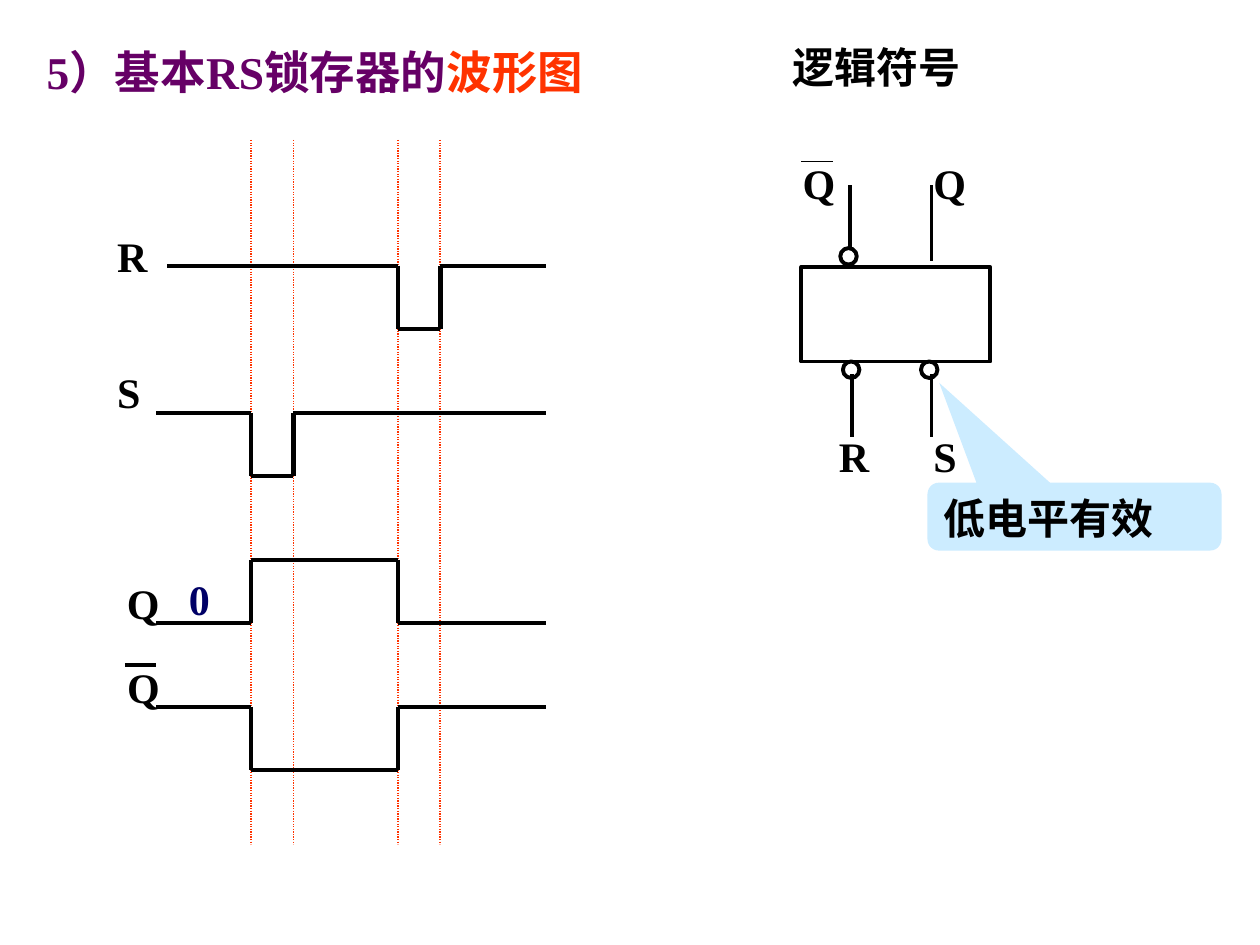
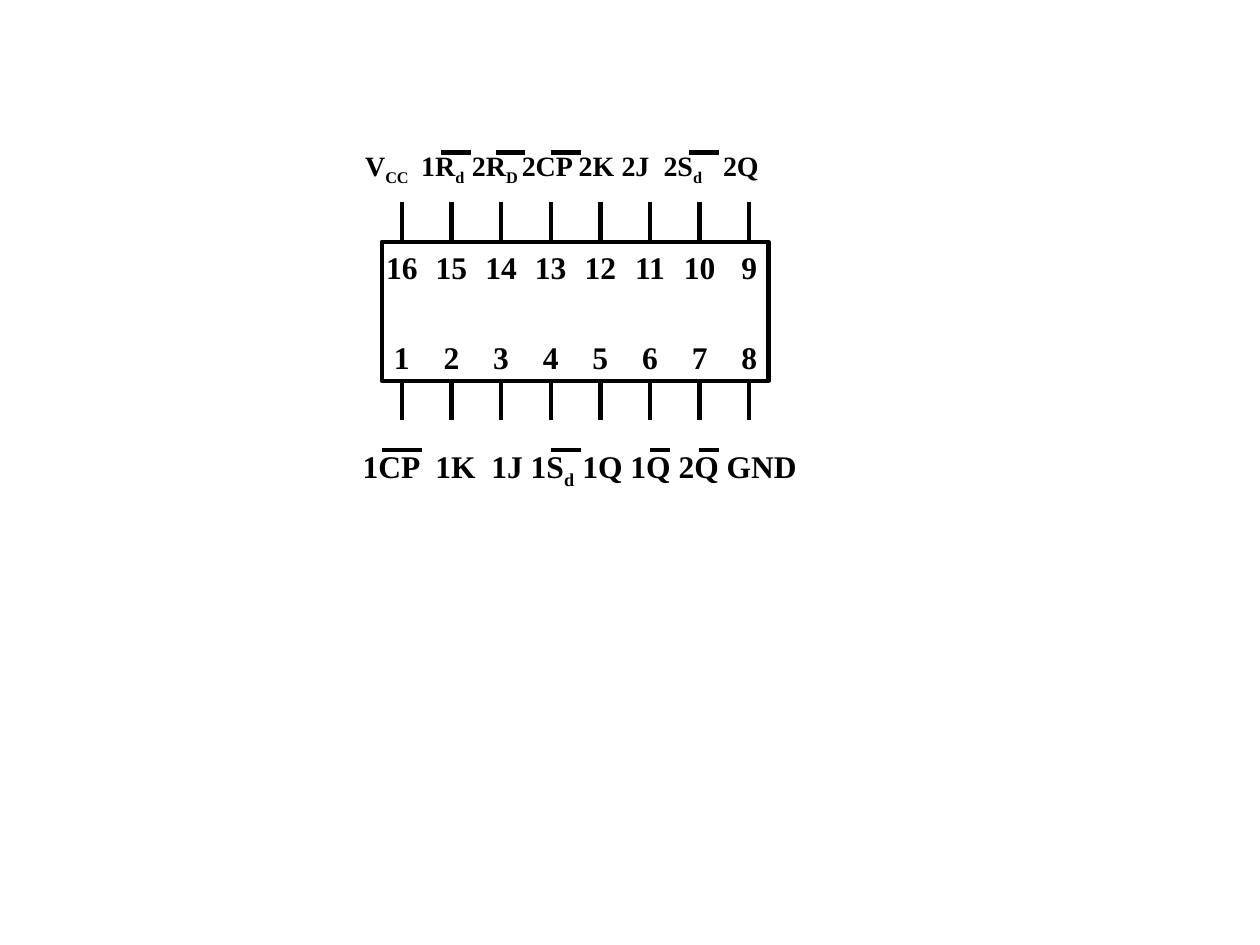
import itertools
from dataclasses import dataclass

import pptx
import pptx.dml.color
import pptx.enum.dml
import pptx.enum.shapes
import pptx.enum.text
import pptx.oxml.ns
import pptx.oxml.xmlchemy
import pptx.util
from lxml import etree

Pt = pptx.util.Pt
RGB = pptx.dml.color.RGBColor.from_string
ALIGN = pptx.enum.text.PP_ALIGN
ANCHOR = pptx.enum.text.MSO_ANCHOR
SHAPE = pptx.enum.shapes.MSO_SHAPE
qn = pptx.oxml.ns.qn


@dataclass(frozen=True)
class Theme:
    font: str = "Times New Roman"
    ink: str = "000000"
    title: str = "660066"
    accent: str = "FF3300"
    state: str = "000066"
    callout: str = "CCECFF"
    title_size: float = 26
    label_size: float = 24
    pin_size: float = 18
    small_pin_size: float = 16
    wave_line: float = 2.75
    chip_line: float = 2.5
    symbol_line: float = 2.25
    thin_line: float = 0.75


theme = Theme()


def add_line(page, start, end, width, color=theme.ink):
    line = page.shapes.add_connector(
        pptx.enum.shapes.MSO_CONNECTOR.STRAIGHT, *map(Pt, start + end))
    line.line.width = Pt(width)
    line.line.color.rgb = RGB(color)
    etree.SubElement(line._element.spPr, qn("a:effectLst"))
    return line


def write_spans(frame, spans, size, align=ALIGN.LEFT):
    """Fill the first paragraph with (text, colour, subscript) spans."""
    frame.word_wrap = True
    para = frame.paragraphs[0]
    para.alignment = align
    for text, color, subscript in spans:
        span = para.add_run()
        span.text = text
        span.font.name = theme.font
        span.font.size = Pt(size)
        span.font.bold = True
        span.font.color.rgb = RGB(color)
        if subscript:
            span.font._element.set("baseline", "-25000")
    return para


deck = pptx.Presentation()
deck.slide_width, deck.slide_height = Pt(720), Pt(540)
blank = deck.slide_layouts[6]

# Slide 1: waveforms of the latch and its logic symbol
page = deck.slides.add_slide(blank)
title = page.shapes.add_textbox(Pt(19.5), Pt(20), Pt(336), Pt(42)).text_frame
title.vertical_anchor = ANCHOR.MIDDLE
write_spans(title, [("5）基本RS锁存器的", theme.title, False),
                    ("波形图", theme.accent, False)], theme.title_size)

begin, finish = 89.3, 311.8
set_start, set_end, reset_start, reset_end = 143.4, 167.6, 227.4, 251.5
for edge in (set_start, set_end, reset_start, reset_end):
    guide = add_line(page, (edge, 80), (edge, 482.4), theme.thin_line, theme.accent)
    guide.line.dash_style = pptx.enum.dml.MSO_LINE.ROUND_DOT

# Each wave: start, first level (0 high, 1 low), times at which the level flips
waves = [
    (95.6, 0, (reset_start, reset_end)),
    (begin, 0, (set_start, set_end)),
    (begin, 1, (set_start, reset_start)),
    (begin, 0, (set_start, reset_start)),
]
first_wave, wave_pitch, swing = 152, 84, 36
for row, (start, level, flips) in enumerate(waves):
    high = first_wave + row * wave_pitch
    first, other = high + level * swing, high + (1 - level) * swing
    points = [(start, first), (flips[0], first), (flips[0], other),
              (flips[1], other), (flips[1], first), (finish, first)]
    for here, there in itertools.pairwise(points):
        add_line(page, here, there, theme.wave_line)
add_line(page, (71.3, 380), (89.3, 380), theme.wave_line)

symbol_body = (457.9, 152.6, 108, 54)
bubbles = [(481.7, 206.6), (526.3, 206.6), (480.2, 141.8)]
outlines = [(SHAPE.RECTANGLE, symbol_body)]
outlines += [(SHAPE.OVAL, (left, top, 9.4, 9.4)) for left, top in bubbles]
for kind, place in outlines:
    outline = page.shapes.add_shape(kind, *map(Pt, place))
    outline.shadow.inherit = False
    outline.fill.background()
    outline.line.color.rgb = RGB(theme.ink)
    outline.line.width = Pt(theme.symbol_line)
for x, top, bottom in [(486.7, 213.8, 249.8), (532.3, 213.8, 249.8),
                       (532.3, 105.8, 149), (485.5, 105.8, 141.8)]:
    add_line(page, (x, top), (x, bottom), theme.symbol_line)
add_line(page, (457.9, 92.4), (475.9, 92.4), theme.thin_line)

labels = [
    ("R", 59.8, 128, 54), ("S", 59.8, 206, 66), ("Q", 65.5, 326.2, 72),
    ("0", 100.8, 324, 28), ("Q", 65.5, 374.4, 48),
    ("Q", 451.5, 86.4, 48), ("Q", 526.3, 86.4, 33.5),
    ("R", 472.3, 242.6, 32), ("S", 526.3, 242.6, 28),
    ("逻辑符号", 433.4, 20.2, 134.6),
]
for text, left, top, width in labels:
    box = page.shapes.add_textbox(Pt(left), Pt(top), Pt(width), Pt(36))
    color = theme.state if text == "0" else theme.ink
    align = ALIGN.CENTER if len(text) > 1 else ALIGN.LEFT
    write_spans(box.text_frame, [(text, color, False)], theme.label_size, align)

callout = page.shapes.add_shape(
    SHAPE.ROUNDED_RECTANGULAR_CALLOUT, Pt(530), Pt(275.8), Pt(168), Pt(38.8))
callout.shadow.inherit = False
callout.adjustments[0], callout.adjustments[1] = -0.46, -1.97
callout.fill.solid()
callout.fill.fore_color.rgb = RGB(theme.callout)
callout.line.fill.background()
callout.text_frame.vertical_anchor = ANCHOR.TOP
write_spans(callout.text_frame, [("低电平有效", theme.ink, False)], theme.label_size)

# Slide 2: pin diagram of the chip
page = deck.slides.add_slide(blank)
chip_left, chip_top, chip_width, chip_height = 218.2, 138.2, 221, 79.4
chip_bottom = chip_top + chip_height
chip = page.shapes.add_shape(
    SHAPE.RECTANGLE, Pt(chip_left), Pt(chip_top), Pt(chip_width), Pt(chip_height))
chip.shadow.inherit = False
chip.fill.background()
chip.line.color.rgb = RGB(theme.ink)
chip.line.width = Pt(theme.chip_line)

first_pin, pin_pitch, pin_length = 229.6, 28.37, 22.5
number_width, number_height = 36, 28.8
for column in range(8):
    x = first_pin + column * pin_pitch
    add_line(page, (x, chip_top - pin_length), (x, chip_top), theme.chip_line)
    add_line(page, (x, chip_bottom), (x, chip_bottom + pin_length), theme.chip_line)
    for number, top in ((16 - column, chip_top), (column + 1, 189.4)):
        box = page.shapes.add_textbox(
            Pt(x - number_width / 2), Pt(top), Pt(number_width), Pt(number_height))
        write_spans(box.text_frame, [(str(number), theme.ink, False)],
                    theme.pin_size, ALIGN.CENTER)

# Each row of pin names: names (subscript after _), tab stops, place, size, overbars
name_rows = [
    ("V_CC 1R_d 2R_D 2CP 2K 2J 2S_d 2Q", (32, 61, 89.5, 122, 146.5, 170.5, 204.5),
     (201.6, 81.4, 266, 29.5), theme.small_pin_size,
     87.1, [(252, 269.3), (283.7, 300.2), (314.6, 331.9), (393.8, 411.1)]),
    ("1CP 1K 1J 1S_d 1Q 1Q 2Q GND", (41.5, 73.5, 96, 125.5, 153, 180.5, 208),
     (200.2, 252, 273.5, 31.7), theme.pin_size,
     257, [(218.2, 241.2), (314.6, 331.9), (371.5, 383), (399.6, 411.1)]),
]
for names, stops, place, size, bar_y, bars in name_rows:
    spans = []
    for name in names.split():
        base, _, subscript = name.partition("_")
        spans.append(("\t" + base if spans else base, theme.ink, False))
        if subscript:
            spans.append((subscript, theme.ink, True))
    box = page.shapes.add_textbox(*map(Pt, place))
    para = write_spans(box.text_frame, spans, size)
    tab_list = etree.SubElement(para._p.get_or_add_pPr(), qn("a:tabLst"))
    for stop in stops:
        etree.SubElement(tab_list, qn("a:tab"), pos=str(Pt(stop)), algn="l")
    for left, right in bars:
        add_line(page, (left, bar_y), (right, bar_y), theme.chip_line)

deck.save("out.pptx")
